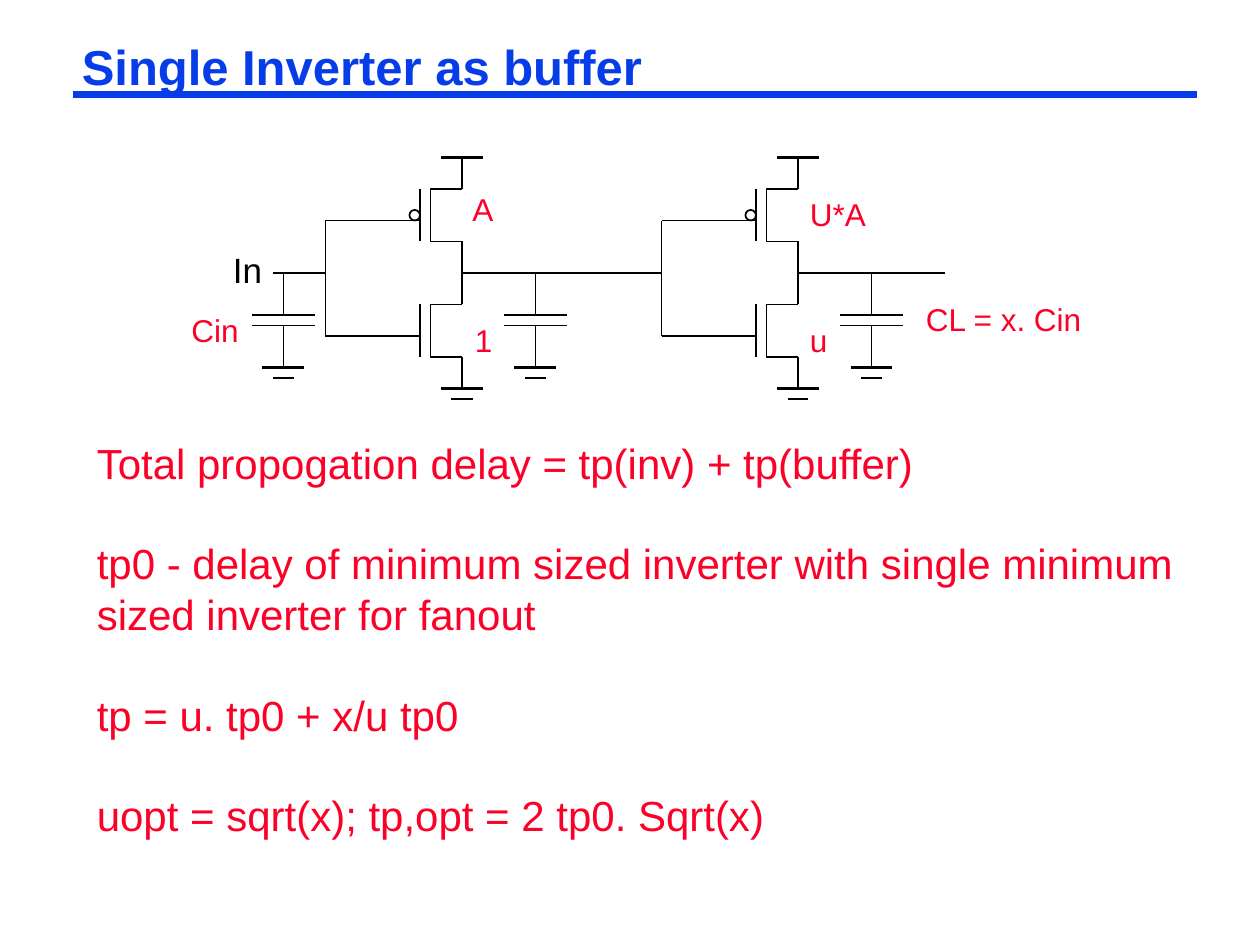
from dataclasses import dataclass

from lxml import etree
from pptx import Presentation
from pptx.dml.color import RGBColor
from pptx.enum.shapes import MSO_CONNECTOR, MSO_SHAPE
from pptx.enum.text import MSO_ANCHOR, MSO_AUTO_SIZE, PP_ALIGN
from pptx.oxml.ns import qn
from pptx.util import Inches, Pt

STRAIGHT = MSO_CONNECTOR.STRAIGHT
OVAL = MSO_SHAPE.OVAL
TOP, BOTTOM = MSO_ANCHOR.TOP, MSO_ANCHOR.BOTTOM
FIT, FIXED = MSO_AUTO_SIZE.SHAPE_TO_FIT_TEXT, MSO_AUTO_SIZE.NONE
LEFT = PP_ALIGN.LEFT


@dataclass(frozen=True)
class Theme:
    font: str = "Arial"
    blue: RGBColor = RGBColor(0x06, 0x3D, 0xE8)
    red: RGBColor = RGBColor(0xFC, 0x01, 0x28)
    black: RGBColor = RGBColor(0, 0, 0)
    title: float = 28
    body: float = 24
    pin: float = 20
    label: float = 18
    lead: float = 28.8
    thin: float = 1
    thick: float = 2.25
    rule: float = 4.5


THEME = Theme()
UNIT = Inches(1) / 12


def grid(count):
    return round(count * UNIT)


def write(shape, text, size, color, bold=False, wrap=False, fit=FIT,
          anchor=TOP, pad=(0.1, 0.05), lead=None, gap=0):
    frame = shape.text_frame
    frame.word_wrap = wrap
    frame.auto_size = fit
    frame.vertical_anchor = anchor
    frame.margin_left = frame.margin_right = Inches(pad[0])
    frame.margin_top = frame.margin_bottom = Inches(pad[1])
    frame.text = text
    for index, para in enumerate(frame.paragraphs):
        para.alignment = LEFT
        para.space_before = Pt(gap if index else 0)
        para.line_spacing = lead
        for run in para.runs:
            font = run.font
            font.name, font.size, font.bold = THEME.font, Pt(size), bold
            font.color.rgb = color


def place(shape, left, top, width, height):
    shape.left, shape.top = Inches(left), Inches(top)
    shape.width, shape.height = Inches(width), Inches(height)


def draw(shapes, start, end, color=THEME.black, weight=THEME.thin):
    line = shapes.add_connector(STRAIGHT, *start, *end)
    line.line.color.rgb = color
    line.line.width = Pt(weight)
    etree.SubElement(line._element.spPr, qn("a:effectLst"))


def wire(shapes, box, x1, y1, x2, y2, weight=THEME.thin):
    left, top = box
    draw(shapes, (grid(left + x1), grid(top + y1)),
         (grid(left + x2), grid(top + y2)), weight=weight)


def ground(shapes, box):
    wire(shapes, box, -2, 0, 2, 0, THEME.thick)
    wire(shapes, box, -1, 1, 1, 1)


def load(slide, box):
    left, top = box
    shapes = slide.shapes.add_group_shape().shapes
    wire(shapes, box, 0, 0, 0, 4)
    for level in (4, 5):
        wire(shapes, box, -3, level, 3, level)
    wire(shapes, box, 0, 5, 0, 9)
    ground(shapes, (left, top + 9))


def switch(shapes, box, gate):
    wire(shapes, box, 0, gate, 9, gate)
    wire(shapes, box, 9, 3, 9, 8)
    wire(shapes, box, 10, 3, 10, 8)
    for level, tip in ((3, 0), (8, 11)):
        wire(shapes, box, 10, level, 13, level)
        wire(shapes, box, 13, level, 13, tip)


def stage(slide, box, reach):
    left, top = box
    shapes = slide.shapes.add_group_shape().shapes
    switch(shapes, box, 6)
    switch(shapes, (left, top + 11), 6)
    dot = shapes.add_shape(OVAL, grid(left + 8), grid(top + 5), grid(1), grid(1))
    dot.shadow.inherit = False
    dot.fill.background()
    dot.line.color.rgb = THEME.black
    dot.line.width = Pt(THEME.thin)
    wire(shapes, box, 0, 6, 0, 17)
    wire(shapes, box, 11, 0, 15, 0, THEME.thick)
    wire(shapes, box, 13, 11, 13 + reach, 11)
    ground(shapes, (left + 13, top + 22))


def label(slide, text, box, size=THEME.label, color=THEME.red):
    shape = slide.shapes.add_textbox(*map(Inches, box))
    write(shape, text, size, color)


def header(slide, box):
    left, top, width, height = box
    place(slide.shapes.title, *box)
    level = Inches(0.75)
    draw(slide.shapes, (Inches(left), level), (Inches(left + width), level),
         THEME.blue, THEME.rule)
    write(slide.shapes.title, "Single Inverter as buffer", THEME.title,
          THEME.blue, bold=True, wrap=True, fit=FIXED, anchor=BOTTOM,
          pad=(0.07, 0.03), lead=0.87)


def circuit(slide, box):
    left, top = box
    wire(slide.shapes, box, 0, 11, 5, 11)
    for start, reach in ((5, 19), (37, 14)):
        stage(slide, (left + start, top), reach)
    for start in (1, 25, 57):
        load(slide, (left + start, top + 11))
    label(slide, "In", (1.75, 1.92, 0.43, 0.43), THEME.pin, THEME.black)
    for text, spot in (
        ("A", (3.65, 1.46, 0.37, 0.4)),
        ("1", (3.67, 2.5, 0.34, 0.4)),
        ("u", (6.33, 2.5, 0.34, 0.4)),
        ("U*A", (6.33, 1.5, 0.65, 0.4)),
        ("CL = x. Cin", (7.25, 2.33, 1.44, 0.4)),
        ("Cin", (1.42, 2.42, 0.58, 0.4)),
    ):
        label(slide, text, spot)


def notes(slide, box):
    lines = (
        "Total propogation delay = tp(inv) + tp(buffer)",
        "tp0 - delay of minimum sized inverter with single minimum "
        "sized inverter for fanout",
        "tp = u. tp0 + x/u tp0",
        "uopt = sqrt(x); tp,opt = 2 tp0. Sqrt(x)",
    )
    shape = slide.shapes.add_textbox(*map(Inches, box))
    write(shape, "\n".join(lines), THEME.body, THEME.red, wrap=True, fit=FIXED,
          lead=Pt(THEME.lead), gap=THEME.lead)


def main():
    deck = Presentation()
    deck.slide_width, deck.slide_height = Inches(10), Inches(7.5)
    slide = deck.slides.add_slide(deck.slide_layouts.get_by_name("Title Only"))
    header(slide, (0.58, 0.33, 8.92, 0.46))
    circuit(slide, (26, 15))
    notes(slide, (0.67, 3.42, 9.33, 3.69))
    deck.save("out.pptx")


if __name__ == "__main__":
    main()
